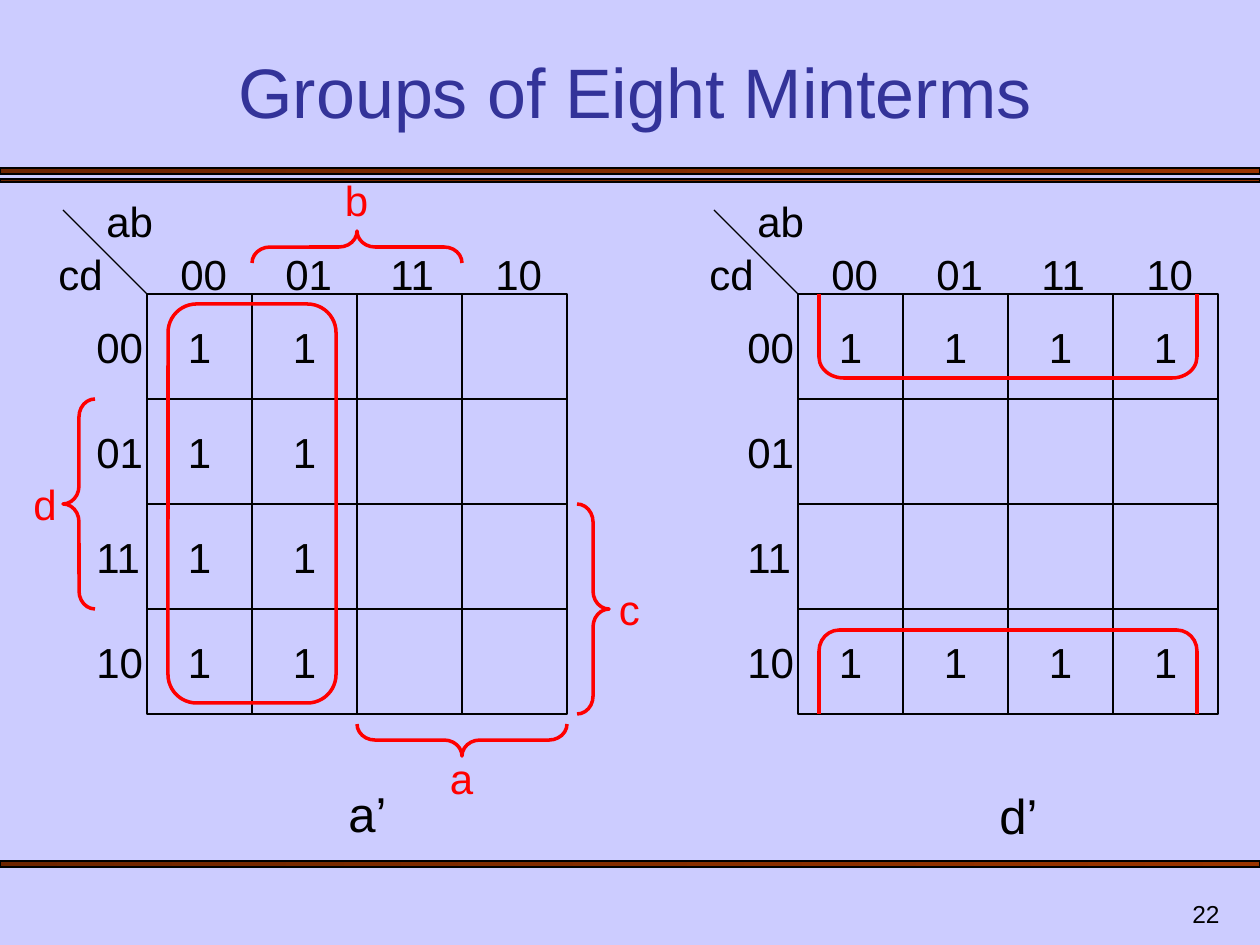
import pptx
import pptx.util
import pptx.dml.color
import pptx.enum.shapes
import pptx.enum.text
import pptx.oxml.ns
from lxml import etree

Pt = pptx.util.Pt
Kind = pptx.enum.shapes.MSO_SHAPE
Side = pptx.enum.text.PP_ALIGN
Edge = pptx.enum.text.MSO_ANCHOR

# Content
TITLE = "Groups of Eight Minterms"
PAGE = "22"
CODES = ["00", "01", "11", "10"]
MAPS = [  # left edge of grid, rows of minterms, result, top of result
    (147, ["11  ", "11  ", "11  ", "11  "], "a’", 777),
    (798, ["1111", "    ", "    ", "1111"], "d’", 779),
]
BRACES = [  # visible box, turn, label, label position, alignment
    ((357, 724, 210, 32), 270, "a", (430, 746), Side.CENTER),
    ((252, 231, 210, 32), 90, "b", (325, 168), Side.CENTER),
    ((577, 504, 32, 210), 180, "c", (598, 577), Side.CENTER),
    ((63, 399, 32, 210), 0, "d", (21, 472), Side.LEFT),
]
BRACKETS = [  # top, turn, roundness, end of arms: from y, to y
    (630, 90, 0.96, 651, 714),
    (357, 270, 1.18, 357, 294),
]
BARS = [(168, 6), (179, 3), (861, 6)]  # top, height

COLORS = {"back": "CCCCFF", "ink": "000000", "title": "333399",
          "mark": "FF0000", "dark": "6D2400", "rust": "993300"}
WIDE, HIGH = 1260, 945
TOP, CELL = 294, 105


def px(n):
    return round(n * 914400 / 126)


def rgb(name):
    return pptx.dml.color.RGBColor.from_string(COLORS[name])


deck = pptx.Presentation()
deck.slide_width, deck.slide_height = px(WIDE), px(HIGH)
slide = deck.slides.add_slide(deck.slide_layouts[6])
slide.background.fill.solid()
slide.background.fill.fore_color.rgb = rgb("back")


def text(words, x, y, w, h=63, size=24, color="ink", side=Side.LEFT, edge=Edge.TOP):
    box = slide.shapes.add_textbox(px(x), px(y), px(w), px(h))
    frame = box.text_frame
    frame.word_wrap = True
    frame.vertical_anchor = edge
    para = frame.paragraphs[0]
    para.alignment = side
    run = para.add_run()
    run.text = words
    run.font.name = "Arial"
    run.font.size = Pt(size)
    run.font.color.rgb = rgb(color)


def shape(kind, x, y, w, h, color="ink", width=0.75, turn=0, adj=()):
    """Place a shape by its visible box, even when it is turned on its side."""
    if turn % 180:
        x, y, w, h = x + (w - h) / 2, y + (h - w) / 2, h, w
    item = slide.shapes.add_shape(kind, px(x), px(y), px(w), px(h))
    item.rotation = turn
    item.shadow.inherit = False
    item.fill.background()
    item.line.color.rgb = rgb(color)
    item.line.width = Pt(width)
    for i, value in enumerate(adj):
        item.adjustments[i] = value
    return item


def line(x1, y1, x2, y2, color="ink", width=0.75):
    item = slide.shapes.add_connector(
        pptx.enum.shapes.MSO_CONNECTOR.STRAIGHT, px(x1), px(y1), px(x2), px(y2))
    item.line.color.rgb = rgb(color)
    item.line.width = Pt(width)
    etree.SubElement(item._element.spPr, pptx.oxml.ns.qn("a:effectLst"))


# Bars, title and page number
for y, h in BARS:
    fill = shape(Kind.RECTANGLE, 0, y, WIDE, h).fill
    fill.gradient()
    fill.gradient_angle = 0
    for stop, name, spot in zip(fill.gradient_stops, ("dark", "rust"), (0, 1)):
        stop.color.rgb = rgb(name)
        stop.position = spot
text(TITLE, 73, 53, 1124, 86, 40, "title", Side.CENTER, Edge.BOTTOM)
text(PAGE, 970, 882, 262, 53, 14, side=Side.RIGHT, edge=Edge.BOTTOM)

# Karnaugh maps
for left, rows, result, low in MAPS:
    line(left - 84, TOP - 84, left, TOP)
    text("ab", left - 53, 189, 84)
    text("cd", left - 105, 242, 73, side=Side.RIGHT)
    for i, code in enumerate(CODES):
        text(code, left + 21 + i * CELL, 242, 76)
        text(code, left - 63, TOP + 21 + i * CELL, 76)
    for r, row in enumerate(rows):
        for c, bit in enumerate(row):
            x, y = left + c * CELL, TOP + r * CELL
            shape(Kind.RECTANGLE, x, y, CELL, CELL)
            if bit == "1":
                text(bit, x, y + 21, CELL, side=Side.CENTER)
    text(result, left + 189, low, 116, 72, 28)

# Group of the left map
shape(Kind.ROUNDED_RECTANGLE, 168, 304, 168, 399, "mark", 2, adj=[0.17])

# Group of the right map, wrapping from bottom to top
for y, turn, bend, start, end in BRACKETS:
    shape(Kind.LEFT_BRACKET, 819, y, 378, 21, "mark", 2, turn, [bend])
    for x in (819, 1197):
        line(x, start, x, end, "mark", 2)

# Braces with variable names
for box, turn, name, (x, y), side in BRACES:
    shape(Kind.LEFT_BRACE, *box, "mark", 2, turn, [0.56, 0.5])
    text(name, x, y, 63, color="mark", side=side)

deck.save("out.pptx")
